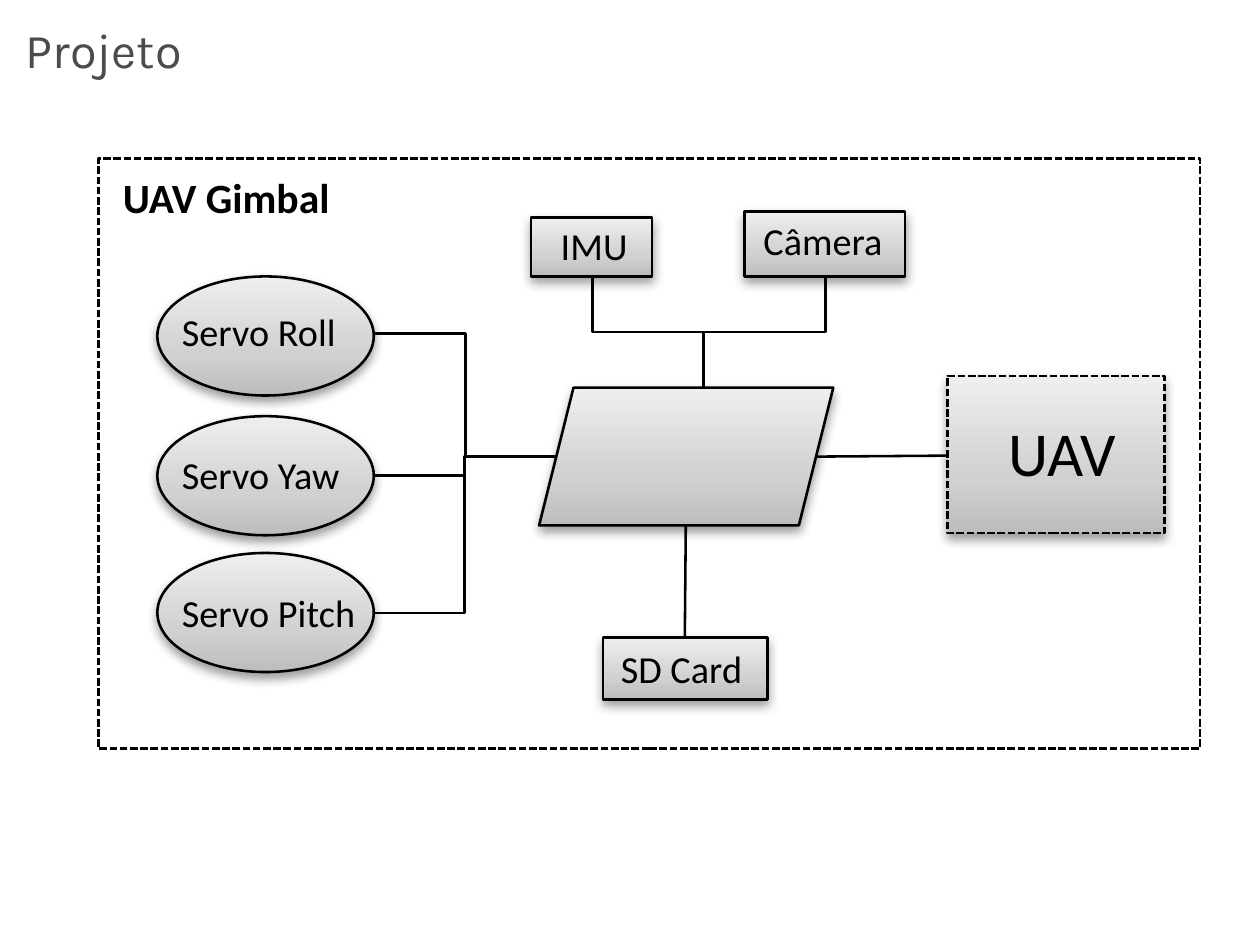
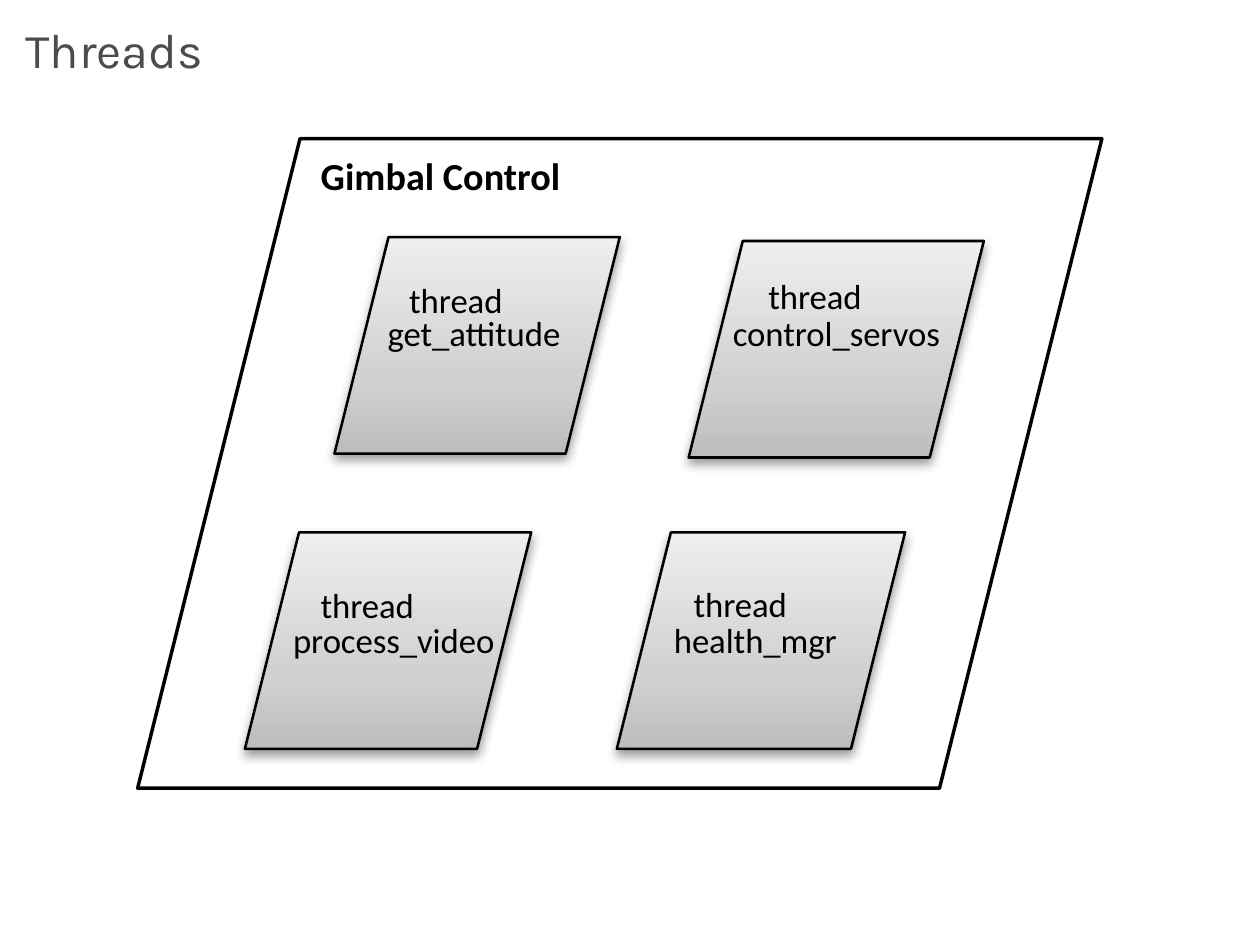
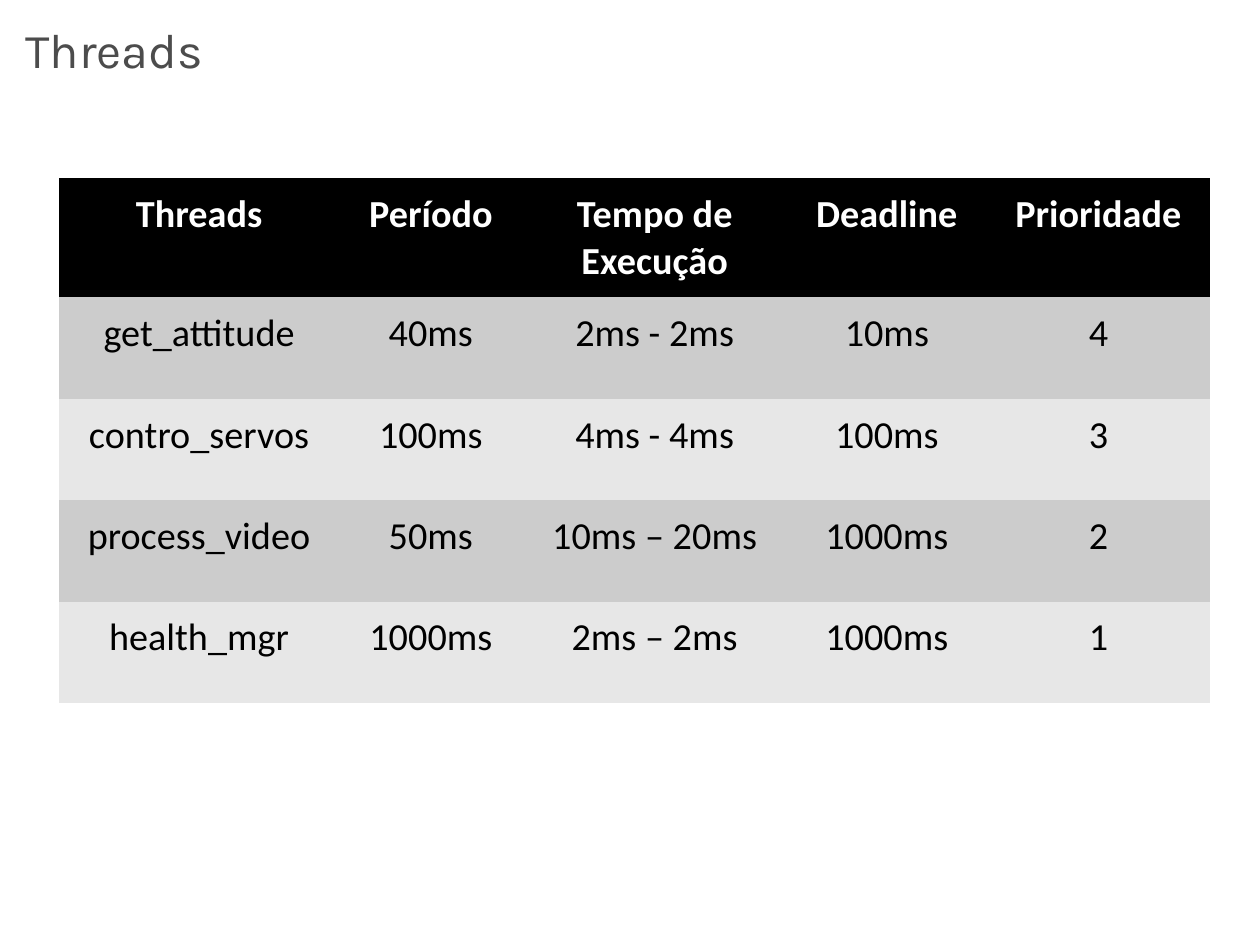
from dataclasses import dataclass

from lxml import etree
from pptx import Presentation
from pptx import util as u
from pptx.dml import color
from pptx.enum import dml, shapes, text
from pptx.oxml import ns


# Colours, fonts and type sizes
@dataclass(frozen=True)
class Theme:
    black: str = "000000"
    white: str = "FFFFFF"
    title_grey: str = "4C4C4C"
    bands: tuple = ("CCCCCC", "E7E7E7")
    metal: tuple = ((0, "BDBDBD"), (35, "D1D1D1"), (100, "EEEEEE"))
    title_font: str = "Karla"
    body_font: str = "Calibri"
    title_size: float = 14
    unit_size: float = 18
    frame_size: float = 12
    body_size: float = 11
    thread_size: float = 10
    thin: float = 0.75
    outline: float = 1


THEME = Theme()
PRESET = shapes.MSO_SHAPE
CONNECTOR = shapes.MSO_CONNECTOR


def rgb(value):
    return color.RGBColor.from_string(value)


def cm(*lengths):
    return [u.Cm(length) for length in lengths]


def add_node(parent, tag, **attributes):
    node = etree.SubElement(parent, ns.qn(tag))
    for key, value in attributes.items():
        node.set(key, str(value))
    return node


# Text
def write(paragraph, words, size, ink=THEME.black, font=THEME.body_font, bold=False):
    run = paragraph.add_run()
    run.text = words
    run.font.size = u.Pt(size)
    run.font.name = font
    run.font.bold = bold
    run.font.color.rgb = rgb(ink)


def add_label(slide, words, box, size=THEME.body_size, bold=False):
    frame = slide.shapes.add_textbox(*cm(*box)).text_frame
    frame.word_wrap = True
    write(frame.paragraphs[0], words, size, bold=bold)


def add_titled_slide(deck, words):
    slide = deck.slides.add_slide(deck.slide_layouts[5])
    title = slide.shapes.title
    title.left, title.top, title.width, title.height = cm(0.26, 0.2, 12.27, 0.61)
    frame = title.text_frame
    frame.margin_left = frame.margin_right = frame.margin_top = frame.margin_bottom = 0
    frame.vertical_anchor = text.MSO_ANCHOR.TOP
    frame.paragraphs[0].alignment = text.PP_ALIGN.LEFT
    write(frame.paragraphs[0], words, THEME.title_size, THEME.title_grey, THEME.title_font)
    return slide


# Shapes
def add_outline(slide, preset, box, width=THEME.thin, dashed=False):
    outline = slide.shapes.add_shape(preset, *cm(*box))
    outline.shadow.inherit = False
    outline.fill.background()
    outline.line.color.rgb = rgb(THEME.black)
    outline.line.width = u.Pt(width)
    if dashed:
        outline.line.dash_style = dml.MSO_LINE.SQUARE_DOT
    return outline


def add_block(slide, preset, box, dashed=False):
    """Outlined shape with a metallic gradient and a soft shadow below."""
    block = add_outline(slide, preset, box, dashed=dashed)
    block.fill.gradient()
    block.fill.gradient_angle = 90
    properties = block._element.spPr
    stops = properties.find(".//" + ns.qn("a:gsLst"))
    for stop in list(stops):
        stops.remove(stop)
    for position, tint in THEME.metal:
        add_node(add_node(stops, "a:gs", pos=position * 1000), "a:srgbClr", val=tint)
    shadow = add_node(properties.find(ns.qn("a:effectLst")), "a:outerShdw",
                      blurRad=u.Pt(3.1), dist=u.Pt(1.6), dir=5400000, rotWithShape=0)
    add_node(add_node(shadow, "a:srgbClr", val=THEME.black), "a:alpha", val=38000)


# Connectors
def add_link(slide, start, end, kind=CONNECTOR.STRAIGHT, bend=None):
    link = slide.shapes.add_connector(kind, *cm(*start, *end))
    link.line.color.rgb = rgb(THEME.black)
    link.line.width = u.Pt(THEME.thin)
    properties = link._element.spPr
    add_node(properties, "a:effectLst")
    if bend is not None:
        add_node(properties.find(".//" + ns.qn("a:avLst")), "a:gd",
                 name="adj1", fmla=f"val {round(bend * 100000)}")
    return link


def add_vertical_elbow(slide, start, end):
    """Elbow that leaves and arrives vertically: a quarter turn about its centre."""
    middle_x, middle_y = (start[0] + end[0]) / 2, (start[1] + end[1]) / 2
    turn = 1 if end[0] > start[0] else -1
    turned = [(middle_x + turn * (y - middle_y), middle_y - turn * (x - middle_x))
              for x, y in (start, end)]
    link = add_link(slide, *turned, CONNECTOR.ELBOW)
    link._element.spPr.find(ns.qn("a:xfrm")).set("rot", str(turn * 90 % 360 * 60000))


# Table
def add_schedule(slide, rows, widths, corner, row_height):
    size = cm(*corner, sum(widths), row_height * len(rows))
    schedule = slide.shapes.add_table(len(rows), len(widths), *size).table
    style = schedule._tbl.tblPr.find(ns.qn("a:tableStyleId"))
    style.text = "{2D5ABB26-0587-4C30-8999-92F81FD0307C}"  # no grid lines
    for column, width in zip(schedule.columns, widths):
        column.width = u.Cm(width)
    for index, values in enumerate(rows):
        header = index == 0
        schedule.rows[index].height = u.Cm(row_height)
        for cell, value in zip(schedule.rows[index].cells, values):
            cell.fill.solid()
            cell.fill.fore_color.rgb = rgb(THEME.black if header else THEME.bands[(index - 1) % 2])
            paragraph = cell.text_frame.paragraphs[0]
            paragraph.alignment = text.PP_ALIGN.CENTER
            write(paragraph, value, THEME.body_size,
                  THEME.white if header else THEME.black, bold=header)


# Slides
def build_project(deck):
    slide = add_titled_slide(deck, "Projeto")

    # Control board and vehicle
    add_block(slide, PRESET.PARALLELOGRAM, (5.48, 3.94, 2.99, 1.4))
    add_block(slide, PRESET.RECTANGLE, (9.63, 3.82, 2.21, 1.6), dashed=True)
    add_label(slide, "UAV", (10, 4.08, 1.78, 1.02), THEME.unit_size)

    # Peripherals
    for name, box, label_box in (
        ("IMU", (5.4, 2.21, 1.23, 0.6), (5.45, 2.14, 1.22, 0.74)),
        ("Câmera", (7.57, 2.15, 1.63, 0.66), (7.51, 2.08, 1.9, 0.74)),
        ("SD Card", (6.13, 6.48, 1.67, 0.63), (6.06, 6.43, 2, 0.74)),
    ):
        add_block(slide, PRESET.RECTANGLE, box)
        add_label(slide, name, label_box)

    # Servos
    for name, top, label_top in (
        ("Servo Roll", 2.81, 3.01), ("Servo Yaw", 4.23, 4.46), ("Servo Pitch", 5.62, 5.86),
    ):
        add_block(slide, PRESET.OVAL, (1.6, top, 2.2, 1.21))
        add_label(slide, name, (1.6, label_top, 2.39, 0.74))

    # Wiring
    add_link(slide, (5.66, 4.64), (3.81, 3.39), CONNECTOR.ELBOW)
    add_link(slide, (5.36, 4.64), (3.81, 6.23), CONNECTOR.ELBOW, bend=0.41)
    for peripheral in ((6.02, 2.81), (8.39, 2.81)):
        add_vertical_elbow(slide, (7.15, 3.94), peripheral)
    for start, end in (
        ((4.72, 4.83), (3.81, 4.83)),
        ((8.29, 4.64), (9.63, 4.63)),
        ((6.96, 6.48), (6.97, 5.34)),
    ):
        add_link(slide, start, end)

    # Gimbal boundary
    add_outline(slide, PRESET.RECTANGLE, (1, 1.61, 11.2, 6), dashed=True)
    add_label(slide, "UAV Gimbal", (1, 1.62, 2.92, 0.76), THEME.frame_size, bold=True)


def build_threads(deck):
    slide = add_titled_slide(deck, "Threads")
    add_outline(slide, PRESET.PARALLELOGRAM, (1.4, 1.41, 9.8, 6.6), THEME.outline)
    for name, box, name_at, kind_at in (
        ("get_attitude", (3.4, 2.41, 2.9, 2.2), (3.69, 3.04), (3.91, 2.71)),
        ("control_servos", (7, 2.45, 3, 2.2), (7.2, 3.04), (7.56, 2.67)),
        ("process_video", (2.49, 5.41, 2.91, 2.2), (2.73, 6.16), (3.01, 5.81)),
        ("health_mgr", (6.27, 5.41, 2.93, 2.2), (6.6, 6.16), (6.8, 5.8)),
    ):
        add_block(slide, PRESET.PARALLELOGRAM, box)
        add_label(slide, name, (*name_at, 3.2, 0.69), THEME.thread_size)
        add_label(slide, "thread", (*kind_at, 1.88, 0.69), THEME.thread_size)
    add_label(slide, "Gimbal Control", (3.01, 1.42, 4.8, 0.74), bold=True)


def build_schedule(deck):
    slide = add_titled_slide(deck, "Threads")
    rows = (
        ("Threads", "Período", "Tempo de Execução", "Deadline", "Prioridade"),
        ("get_attitude", "40ms", "2ms - 2ms", "10ms", "4"),
        ("contro_servos", "100ms", "4ms - 4ms", "100ms", "3"),
        ("process_video", "50ms", "10ms – 20ms", "1000ms", "2"),
        ("health_mgr", "1000ms", "2ms – 2ms", "1000ms", "1"),
    )
    add_schedule(slide, rows, (2.85, 1.86, 2.69, 2.03, 2.27), (0.6, 1.81), 1.03)


def main():
    deck = Presentation()
    deck.slide_width, deck.slide_height = u.Pt(363), u.Pt(272.5)
    build_project(deck)
    build_threads(deck)
    build_schedule(deck)
    deck.save("out.pptx")


main()
